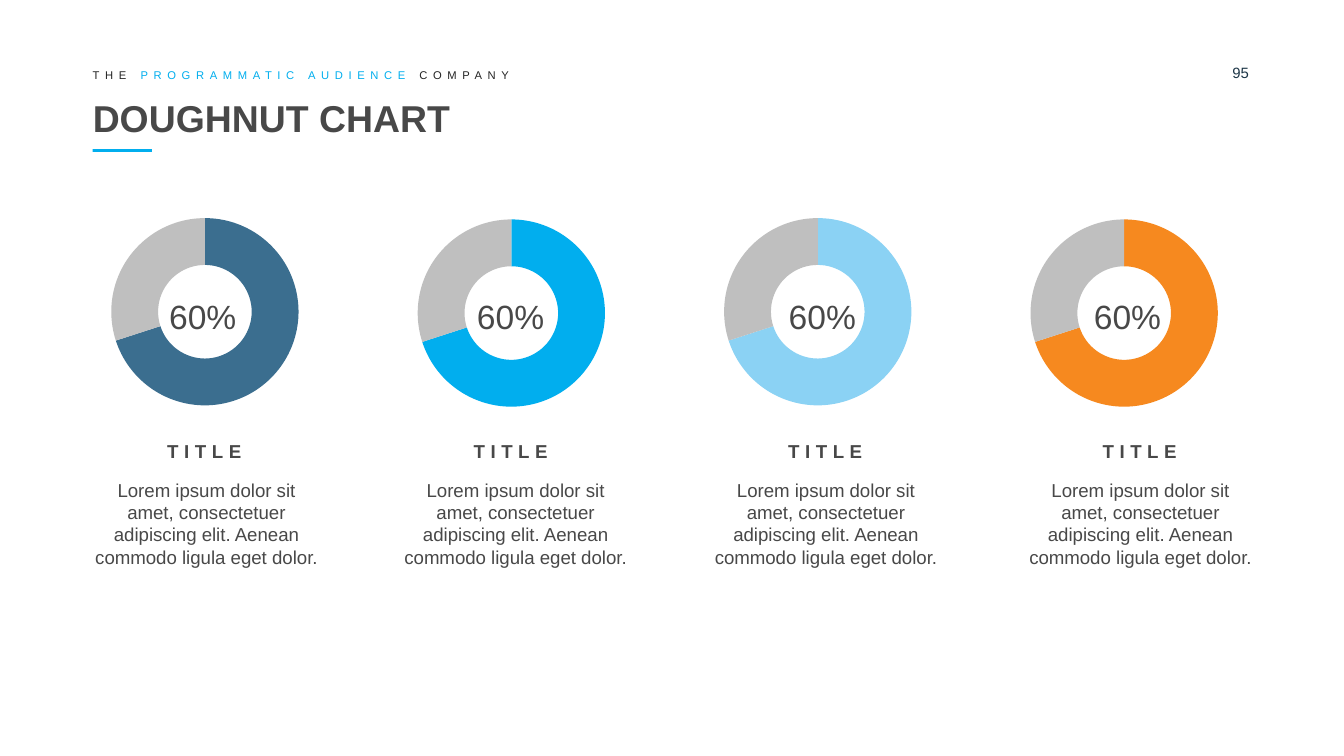
from lxml import etree
from pptx import Presentation
from pptx import util as u
from pptx.chart.data import CategoryChartData
from pptx.dml.color import RGBColor
from pptx.enum import chart as charts, shapes, text
from pptx.oxml.ns import qn

GREY = RGBColor(0x48, 0x48, 0x48)
REST = RGBColor(0xBF, 0xBF, 0xBF)
BLACK = RGBColor(0x24, 0x24, 0x24)
NAVY = RGBColor(0x1D, 0x36, 0x47)
STEEL = RGBColor(0x3B, 0x6E, 0x8F)
BLUE = RGBColor(0x01, 0xAE, 0xEE)
SKY = RGBColor(0x8B, 0xD2, 0xF4)
ORANGE = RGBColor(0xF6, 0x89, 0x1F)
FONT = "Arial"

TAGLINE = [("THE ", BLACK), ("PROGRAMMATIC AUDIENCE ", BLUE), ("COMPANY", BLACK)]
HEADLINE = "DOUGHNUT CHART"
PAGE = "95"
SHARES = [("1", 70), ("2", 30)]
PERCENT = "60%"
HEADING = "TITLE"
BODY = ("Lorem ipsum dolor sit amet, consectetuer adipiscing elit. "
        "Aenean commodo ligula eget dolor.")
# Colour, chart top, left edges of percentage, heading and body, body width
COLUMNS = [
    (STEEL, 1.47, 1.16, 1.22, 0.69, 1.69),
    (BLUE, 1.48, 3.45, 3.50, 2.99, 1.69),
    (SKY, 1.47, 5.77, 5.84, 5.31, 1.67),
    (ORANGE, 1.48, 8.04, 8.18, 7.65, 1.67),
]

WIDTH = 10
HEIGHT = WIDTH * 9 / 16
MARGIN = 0.69
CHART_WIDTH, CHART_HEIGHT = 1.67, 1.7
RING = 1.4  # outer diameter
PITCH = 2.28


def add_text(slide, box, runs, size, color=GREY, bold=None, spacing=0, align=None,
             anchor=None, wrap=True, grow=True, inset=0):
    """Add a one-paragraph text box; runs is a string or (text, colour) pairs."""
    frame = slide.shapes.add_textbox(*map(u.Inches, box)).text_frame
    frame.word_wrap = wrap
    frame.auto_size = (text.MSO_AUTO_SIZE.SHAPE_TO_FIT_TEXT if grow
                       else text.MSO_AUTO_SIZE.NONE)
    if anchor is not None:
        frame.vertical_anchor = anchor
    if inset is not None:
        frame.margin_left = frame.margin_right = u.Inches(inset)
        frame.margin_top = frame.margin_bottom = u.Inches(inset)
    paragraph = frame.paragraphs[0]
    if align is not None:
        paragraph.alignment = align
    for words, run_color in [(runs, color)] if isinstance(runs, str) else runs:
        run = paragraph.add_run()
        run.text = words
        run.font.name, run.font.size, run.font.bold = FONT, u.Pt(size), bold
        run.font.color.rgb = run_color
        if spacing:
            run._r.get_or_add_rPr().set("spc", str(spacing * 100))


def set_ring_layout(plot_area):
    """Centre the ring in its chart frame."""
    layout = plot_area.find(qn("c:layout"))
    if layout is None:
        layout = etree.Element(qn("c:layout"))
        plot_area.insert(0, layout)
    manual = etree.SubElement(layout, qn("c:manualLayout"))
    w, h = RING / CHART_WIDTH, RING / CHART_HEIGHT
    for tag, value in [("layoutTarget", "inner"), ("xMode", "edge"), ("yMode", "edge"),
                       ("x", (1 - w) / 2), ("y", (1 - h) / 2), ("w", w), ("h", h)]:
        setting = value if isinstance(value, str) else f"{value:.2f}"
        etree.SubElement(manual, qn(f"c:{tag}")).set("val", setting)


def add_doughnut(slide, left, top, color):
    data = CategoryChartData()
    data.categories = [name for name, _ in SHARES]
    data.add_series("Series 1", [share for _, share in SHARES])
    box = map(u.Inches, (left, top, CHART_WIDTH, CHART_HEIGHT))
    doughnut = slide.shapes.add_chart(charts.XL_CHART_TYPE.DOUGHNUT, *box, data).chart
    doughnut.has_legend = doughnut.has_title = False
    doughnut.font.name, doughnut.font.size = FONT, u.Pt(18)
    doughnut.font.color.rgb = GREY
    plot = doughnut.plots[0]
    plot.vary_by_categories = True
    for index, fill_color in enumerate((color, REST)):
        part = plot.series[0].points[index].format
        part.fill.solid()
        part.fill.fore_color.rgb = fill_color
        part.line.fill.background()
    plot_area = doughnut._chartSpace.chart.plotArea
    plot_area.find(".//" + qn("c:holeSize")).set("val", "75")
    set_ring_layout(plot_area)


def main():
    deck = Presentation()
    deck.slide_width, deck.slide_height = u.Inches(WIDTH), u.Inches(HEIGHT)
    slide = deck.slides.add_slide(deck.slide_layouts[6])
    center, middle = text.PP_ALIGN.CENTER, text.MSO_ANCHOR.MIDDLE

    add_text(slide, (MARGIN, 0.51, 7.17, 0.1), TAGLINE, 6, spacing=3, anchor=middle)
    add_text(slide, (MARGIN, 0.69, WIDTH - 2 * MARGIN, 0.37), HEADLINE, 20,
             bold=True, anchor=middle, grow=False)
    add_text(slide, (9.17, 0.47, 0.43, 0.16), PAGE, 8, color=NAVY, grow=False)

    underline = slide.shapes.add_shape(shapes.MSO_SHAPE.RECTANGLE,
                                       *map(u.Inches, (MARGIN, 1.11, 0.44, 0.02)))
    underline.shadow.inherit = False
    underline.fill.solid()
    underline.fill.fore_color.rgb = BLUE
    underline.line.fill.background()

    for index, column in enumerate(COLUMNS):
        color, top, percent_left, heading_left, body_left, body_width = column
        add_doughnut(slide, MARGIN + index * PITCH, top, color)
        add_text(slide, (percent_left, 2.15, 0.71, 0.4), PERCENT, 18,
                 wrap=False, inset=None)
        add_text(slide, (heading_left, 3.27, 0.6, 0.17), HEADING, 10,
                 bold=True, spacing=3, align=center, wrap=False)
        add_text(slide, (body_left, 3.56, body_width, 0.67), BODY, 10, align=center)

    deck.save("out.pptx")


if __name__ == "__main__":
    main()
